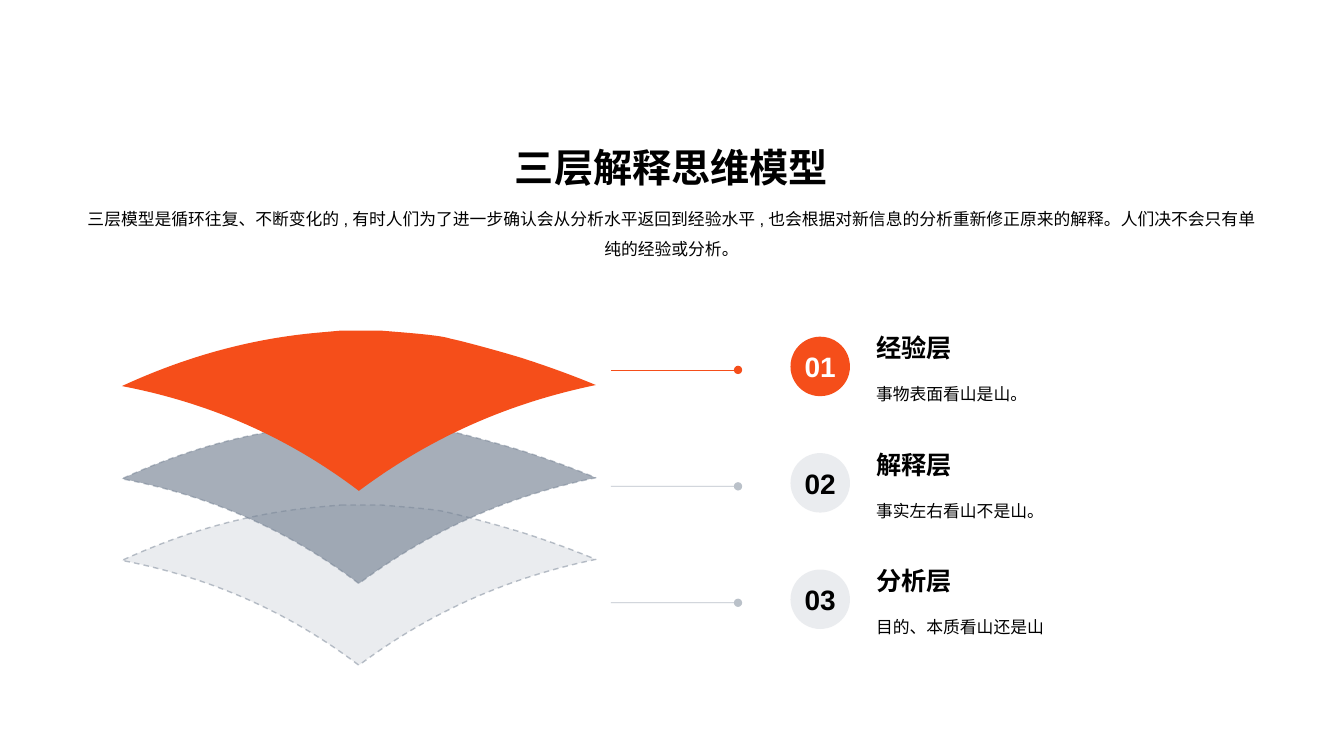
from lxml.etree import SubElement
from pptx import Presentation
from pptx.dml.color import RGBColor
from pptx.enum.dml import MSO_LINE
from pptx.enum.shapes import MSO_CONNECTOR, MSO_SHAPE
from pptx.enum.text import MSO_ANCHOR, MSO_AUTO_SIZE, PP_ALIGN
from pptx.oxml.ns import qn
from pptx.util import Inches, Pt

ORANGE = RGBColor(0xF5, 0x4E, 0x1A)
SLATE = RGBColor(0x77, 0x84, 0x95)
BLACK = RGBColor(0, 0, 0)
WHITE = RGBColor(0xFF, 0xFF, 0xFF)

TITLE = "三层解释思维模型"
SUMMARY = ("三层模型是循环往复、不断变化的,有时人们为了进一步确认会从分析水平返回到经验水平,"
           "也会根据对新信息的分析重新修正原来的解释。人们决不会只有单纯的经验或分析。")
# Heading, text, main colour, number colour, badge opacity, line opacity
LEVELS = [
    ("经验层", "事物表面看山是山。", ORANGE, WHITE, 100, 100),
    ("解释层", "事实左右看山不是山。", SLATE, BLACK, 15, 50),
    ("分析层", "目的、本质看山还是山", SLATE, BLACK, 15, 50),
]
LEVEL_PITCH = 2.31 / 2
# Sheet top, colour, opacity, dashed outline; from back to front
SHEETS = [(5.01, SLATE, 15, True), (4.2, SLATE, 65, True), (3.28, ORANGE, 100, False)]

# Sheet outline in inches from its top left corner: cubic curves after a flat top
SHEET_START = (2.17, 0)
SHEET_TOP = [(2.57, 0), (2.69, 0.01)]
SHEET_CURVES = [
    [(2.94, 0.03), (3.17, 0.05), (3.26, 0.08)],
    [(3.4, 0.11), (3.73, 0.2), (3.96, 0.27)],
    [(4.21, 0.35), (4.46, 0.44), (4.7, 0.54)],
    [(3.83, 0.72), (3.06, 1.06), (2.35, 1.59)],
    [(1.65, 1.06), (0.88, 0.72), (0, 0.55)],
    [(0.63, 0.26), (1.27, 0.08), (1.95, 0.02)],
]


def set_opacity(properties, percent):
    """Apply an opacity to the first solid colour inside an XML element."""
    if percent < 100:
        color = next(properties.iter(qn("a:srgbClr")))
        SubElement(color, qn("a:alpha"), val=str(percent * 1000))


def style_paragraph(frame, text, size, color, bold=False, align=PP_ALIGN.LEFT, spacing=None):
    paragraph = frame.paragraphs[0]
    paragraph.text = text
    paragraph.alignment = align
    if spacing:
        paragraph.line_spacing = spacing
    font = paragraph.font
    font.name, font.size, font.bold = "Arial", Pt(size), bold
    font.color.rgb = color


def add_text(slide, box, text, size, anchor=MSO_ANCHOR.TOP, grow=True, **style):
    frame = slide.shapes.add_textbox(*(Inches(value) for value in box)).text_frame
    frame.word_wrap = True
    frame.vertical_anchor = anchor
    if grow:
        frame.auto_size = MSO_AUTO_SIZE.SHAPE_TO_FIT_TEXT
    style_paragraph(frame, text, size, BLACK, **style)


def add_header(slide, left, top, width):
    add_text(slide, (left, top, width, 0.57), TITLE, 28, MSO_ANCHOR.BOTTOM,
             bold=True, align=PP_ALIGN.CENTER)
    add_text(slide, (left, top + 0.55, width, 0.67), SUMMARY, 12,
             align=PP_ALIGN.CENTER, spacing=1.5)


def bend_segments(sheet):
    """Turn each three line segments after the flat top into one cubic curve."""
    segments = list(sheet._element.iter(qn("a:lnTo")))[len(SHEET_TOP):]
    for first in range(0, len(segments), 3):
        trio = segments[first:first + 3]
        outline = trio[0].getparent()
        curve = SubElement(outline, qn("a:cubicBezTo"))
        outline.replace(trio[0], curve)
        for segment in trio:
            curve.append(segment[0])
        for segment in trio[1:]:
            outline.remove(segment)


def add_sheet(slide, left, top, color, opacity, dashed):
    def place(point):
        return Inches(left + point[0]), Inches(top + point[1])

    points = SHEET_TOP + [point for curve in SHEET_CURVES for point in curve]
    builder = slide.shapes.build_freeform(*place(SHEET_START))
    builder.add_line_segments([place(point) for point in points], close=True)
    sheet = builder.convert_to_shape()
    bend_segments(sheet)
    sheet.shadow.inherit = False
    sheet.fill.solid()
    sheet.fill.fore_color.rgb = color
    set_opacity(sheet.fill._xPr, opacity)
    if dashed:
        sheet.line.color.rgb = color
        sheet.line.width = Pt(1)
        sheet.line.dash_style = MSO_LINE.DASH
        set_opacity(sheet.line._ln, 50)
    else:
        sheet.line.fill.background()


def add_pointer(slide, left, y, width, color, opacity):
    pointer = slide.shapes.add_connector(
        MSO_CONNECTOR.STRAIGHT, Inches(left), Inches(y), Inches(left + width), Inches(y))
    pointer.line.color.rgb = color
    pointer.line.width = Pt(0.5)
    outline = pointer.line._ln
    set_opacity(outline, opacity)
    SubElement(outline, qn("a:tailEnd"), type="oval")
    SubElement(pointer._element.spPr, qn("a:effectLst"))


def add_badge(slide, left, top, size, number, color, number_color, opacity):
    badge = slide.shapes.add_shape(MSO_SHAPE.ROUNDED_RECTANGLE, Inches(left), Inches(top),
                                   Inches(size), Inches(size))
    badge.adjustments[0] = 0.5
    badge.shadow.inherit = False
    badge.fill.solid()
    badge.fill.fore_color.rgb = color
    set_opacity(badge.fill._xPr, opacity)
    badge.line.fill.background()
    frame = badge.text_frame
    frame.word_wrap = False
    frame.vertical_anchor = MSO_ANCHOR.MIDDLE
    style_paragraph(frame, f"{number:02d}", 20, number_color, True, PP_ALIGN.CENTER)


def add_level(slide, left, top, number, level):
    """Place one row: pointer, numbered badge, heading and text."""
    heading, text, color, number_color, badge_opacity, line_opacity = level
    add_pointer(slide, left, top + 0.42, 1.26, color, line_opacity)
    text_left = left + 2.53
    add_text(slide, (text_left, top, 3.51, 0.4), heading, 18, MSO_ANCHOR.BOTTOM, bold=True)
    add_text(slide, (text_left, top + 0.45, 3.51, 0.4), text, 12, grow=False, spacing=1.3)
    add_badge(slide, left + 1.78, top + 0.09, 0.59, number, color, number_color, badge_opacity)


def main():
    presentation = Presentation()
    presentation.slide_width = Inches(13.33)
    presentation.slide_height = Inches(7.5)
    slide = presentation.slides.add_slide(presentation.slide_layouts[6])
    add_header(slide, 0.72, 1.37, 11.88)
    for sheet in SHEETS:
        add_sheet(slide, 1.21, *sheet)
    for index, level in enumerate(LEVELS):
        add_level(slide, 6.06, 3.25 + index * LEVEL_PITCH, index + 1, level)
    presentation.save("out.pptx")


if __name__ == "__main__":
    main()
